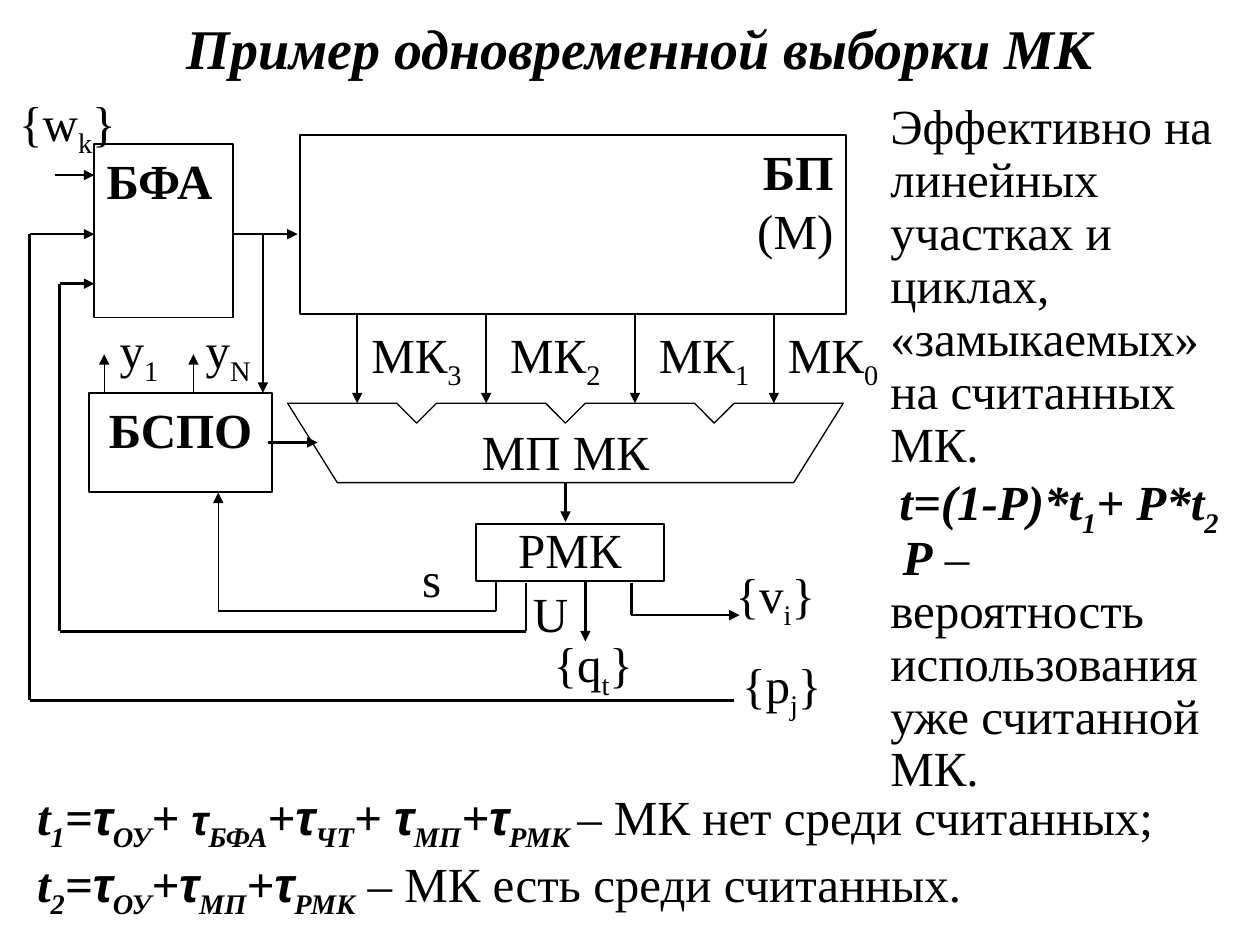
from itertools import pairwise

from lxml.etree import SubElement
from pptx import Presentation
from pptx.dml.color import RGBColor
from pptx.enum.shapes import MSO_CONNECTOR as LINK, MSO_SHAPE as SHAPE
from pptx.enum.text import MSO_ANCHOR as ANCHOR, MSO_AUTO_SIZE as FIT, PP_ALIGN as ALIGN
from pptx.oxml.ns import qn
from pptx.util import Cm, Pt

COLORS = {"ink": "000000", "paper": "FFFFFF"}
SERIF, SANS = "Times New Roman", "Arial"
THIN, THICK = 0.75, 1.5


def color(name):
    """Return the named colour."""
    return RGBColor.from_string(COLORS[name])


def write(frame, paragraphs, align=ALIGN.CENTER, size=28, spacing=None,
          wrap=True, anchor=ANCHOR.TOP, margins=(0.25, 0.13)):
    """Fill a frame with paragraphs of (text, style) spans: b, i, s = subscript, a = sans."""
    frame.word_wrap = wrap
    frame.auto_size = FIT.NONE
    frame.vertical_anchor = anchor
    frame.margin_left = frame.margin_right = Cm(margins[0])
    frame.margin_top = frame.margin_bottom = Cm(margins[1])
    for index, spans in enumerate(paragraphs):
        para = frame.add_paragraph() if index else frame.paragraphs[0]
        para.alignment = align[index] if isinstance(align, list) else align
        para.line_spacing = spacing
        para.space_before = para.space_after = Pt(0)
        for text, style, *own_size in spans:
            span = para.add_run()
            span.text = text
            span.font.name = SANS if "a" in style else SERIF
            span.font.size = Pt(own_size[0] if own_size else size)
            span.font.bold, span.font.italic = "b" in style, "i" in style
            span.font.color.rgb = color("ink")
            if "s" in style:
                span.font._element.set("baseline", "-25000")


def add_text(page, box, paragraphs, **formats):
    """Add a text box."""
    area = page.shapes.add_textbox(*map(Cm, box))
    write(area.text_frame, paragraphs, **formats)


def outline(shape, weight):
    """Give a shape a plain outline without fill or shadow."""
    shape.shadow.inherit = False
    shape.fill.background()
    shape.line.color.rgb = color("ink")
    shape.line.width = Pt(weight)


def add_block(page, box, paragraphs, **formats):
    """Add an outlined block with text."""
    block = page.shapes.add_shape(SHAPE.RECTANGLE, *map(Cm, box))
    outline(block, 1)
    write(block.text_frame, paragraphs, **formats)


def add_route(page, points, weight=THICK):
    """Join points with straight lines, with an arrowhead on the last one."""
    for start, end in pairwise(points):
        link = page.shapes.add_connector(LINK.STRAIGHT, *map(Cm, (*start, *end)))
        link.line.color.rgb = color("ink")
        link.line.width = Pt(weight)
        properties = link._element.spPr
        if end == points[-1]:
            SubElement(properties.find(qn("a:ln")), qn("a:tailEnd"), type="triangle")
        SubElement(properties, qn("a:effectLst"))


def add_title(page, box, text):
    """Place and format the slide title."""
    title = page.shapes.title
    title.left, title.top, title.width, title.height = map(Cm, box)
    write(title.text_frame, [[(text, "bi")]], size=32, anchor=ANCHOR.MIDDLE, margins=(0, 0))


def add_multiplexer(page, box):
    """Draw the notched trapezoid of the multiplexer with its caption."""
    left, top, width, height = box
    slant, notch, pitch = 1, 0.4, 3
    points = [(0, 0)]
    for step in (-1, 0, 1):
        middle = width / 2 + step * pitch
        points += [(middle - notch, 0), (middle, notch), (middle + notch, 0)]
    points += [(width, 0), (width - slant, height), (slant, height)]
    corners = [(Cm(left + x), Cm(top + y)) for x, y in points]
    builder = page.shapes.build_freeform(*corners[0])
    builder.add_line_segments(corners[1:], close=True)
    outline(builder.convert_to_shape(), THIN)
    add_text(page, (left + 1.6, top + 0.23, 8, 1.37), [[("МП МК", "")]])


def add_blocks(page, box):
    """Draw the functional blocks of the control unit."""
    left, top = box[:2]
    blocks = [
        ((1.9, 1.2, 2.8, 3.5), [[("БФА", "b")]], {"align": ALIGN.LEFT}),
        ((6.05, 1.02, 11, 3.61), [[("БП", "b")], [("(M)", "")]], {"align": ALIGN.RIGHT}),
        ((9.6, 8.87, 3.78, 1.14), [[("РМК", "")]], {"spacing": 0.8}),
        ((1.8, 6.22, 3.68, 2), [[("БСПО", "b")]], {}),
    ]
    for (x, y, width, height), paragraphs, formats in blocks:
        add_block(page, (left + x, top + y, width, height), paragraphs, **formats)
    add_multiplexer(page, (left + 5.8, top + 6.43, 11.2, 1.6))


def add_signals(page, box):
    """Draw the signal routes between the blocks."""
    left, top = box[:2]
    thick = [
        [(11.4, 8.03), (11.4, 8.82)],
        [(4.7, 3.02), (6, 3.02)],
        [(5.3, 3.02), (5.3, 6.22)],
        [(5.41, 7.22), (6.4, 7.22)],
        [(1.1, 1.83), (1.9, 1.83)],
        [(11.8, 10.03), (11.8, 11.23)],
        [(12.73, 10.06), (12.73, 10.7), (14.91, 10.7)],
        [(10.6, 10.06), (10.6, 11.03), (1.2, 11.03), (1.2, 4.02), (1.9, 4.02)],
        [(14.8, 12.42), (0.6, 12.42), (0.6, 3.02), (1.9, 3.02)],
    ]
    thick += [[(x, 4.63), (x, 6.43)] for x in (7.2, 9.8, 12.8, 15.6)]
    thin = [[(x, 6.22), (x, 5.44)] for x in (2.1, 3.9)]
    thin.append([(10, 10.03), (10, 10.62), (4.4, 10.62), (4.4, 8.23)])
    for weight, routes in ((THICK, thick), (THIN, thin)):
        for route in routes:
            add_route(page, [(left + x, top + y) for x, y in route], weight)


def add_labels(page, box):
    """Name the signals."""
    left, top = box[:2]
    sets = [("w", "k", 0, 0.03), ("q", "t", 10.6, 10.95),
            ("v", "i", 14.27, 9.55), ("p", "j", 14.4, 11.36)]
    labels = [(x, y, 2.72, [("{" + name, ""), (index, "s"), ("}", "")])
              for name, index, x, y in sets]
    labels += [(x, 4.62, 1.8, [("y", ""), (index, "s")])
               for index, x in (("1", 1.9), ("N", 3.7))]
    labels += [(10.2, 9.93, 1.8, [("U", "")]), (7.8, 9.22, 1.8, [("s", "")])]
    for x, y, width, spans in labels:
        add_text(page, (left + x, top + y, width, 1.27), [spans], wrap=False)
    for index, x in zip("3210", (7.2, 10, 13, 15.6)):
        add_text(page, (left + x, top + 4.83, 2.39, 1.19),
                 [[("МК", ""), (index, "s")]], spacing=0.8, wrap=False)


def add_diagram(page, box):
    """Draw the control unit diagram."""
    for draw in (add_blocks, add_signals, add_labels):
        draw(page, box)


def add_summary(page, box):
    """Write the explanation beside the diagram."""
    add_text(page, box, [
        [("Эффективно на линейных участках и циклах, «замыкаемых» на считанных МК.", "")],
        [("t=(1-P)*t", "bi"), ("1", "bis"), ("+ P*t", "bi"), ("2", "bis")],
        [(" ", ""), ("P", "bi"), (" – вероятность использования уже считанной МК.", "")],
    ], align=[ALIGN.LEFT, ALIGN.CENTER, ALIGN.LEFT], spacing=0.9)


def delay_sum(index, terms, note):
    """Return the spans of one sum of delays; a term is (operator, size, unit)."""
    spans = [("t", "bi"), (index, "bis")]
    for operator, size, unit in terms:
        spans += [(operator, "bi"), ("τ", "bia", size), (unit, "bis")]
    return spans + [(note, "")]


def add_delays(page, box):
    """Write the two access times."""
    add_text(page, box, [
        delay_sum("1", [("=", 28, "ОУ"), ("+ ", 24, "БФА"), ("+", 28, "ЧТ"),
                        ("+ ", 28, "МП"), ("+", 28, "РМК ")], "– МК нет среди считанных;"),
        delay_sum("2", [("=", 28, "ОУ"), ("+", 28, "МП"), ("+", 28, "РМК")],
                  " – МК есть среди считанных."),
    ], align=ALIGN.LEFT)


def main():
    """Build and save the slide."""
    deck = Presentation()
    deck.slide_width, deck.slide_height = Cm(25.4), Cm(19.05)
    page = deck.slides.add_slide(deck.slide_layouts[5])
    page.background.fill.solid()
    page.background.fill.fore_color.rgb = color("paper")
    add_title(page, (0.9, 0.33, 24, 1.22), "Пример одновременной выборки МК")
    add_diagram(page, (0, 1.7, 18, 12.7))
    add_summary(page, (17.7, 1.93, 7.3, 12.8))
    add_delays(page, (0.5, 15.72, 24.4, 3.2))
    deck.save("out.pptx")


if __name__ == "__main__":
    main()
